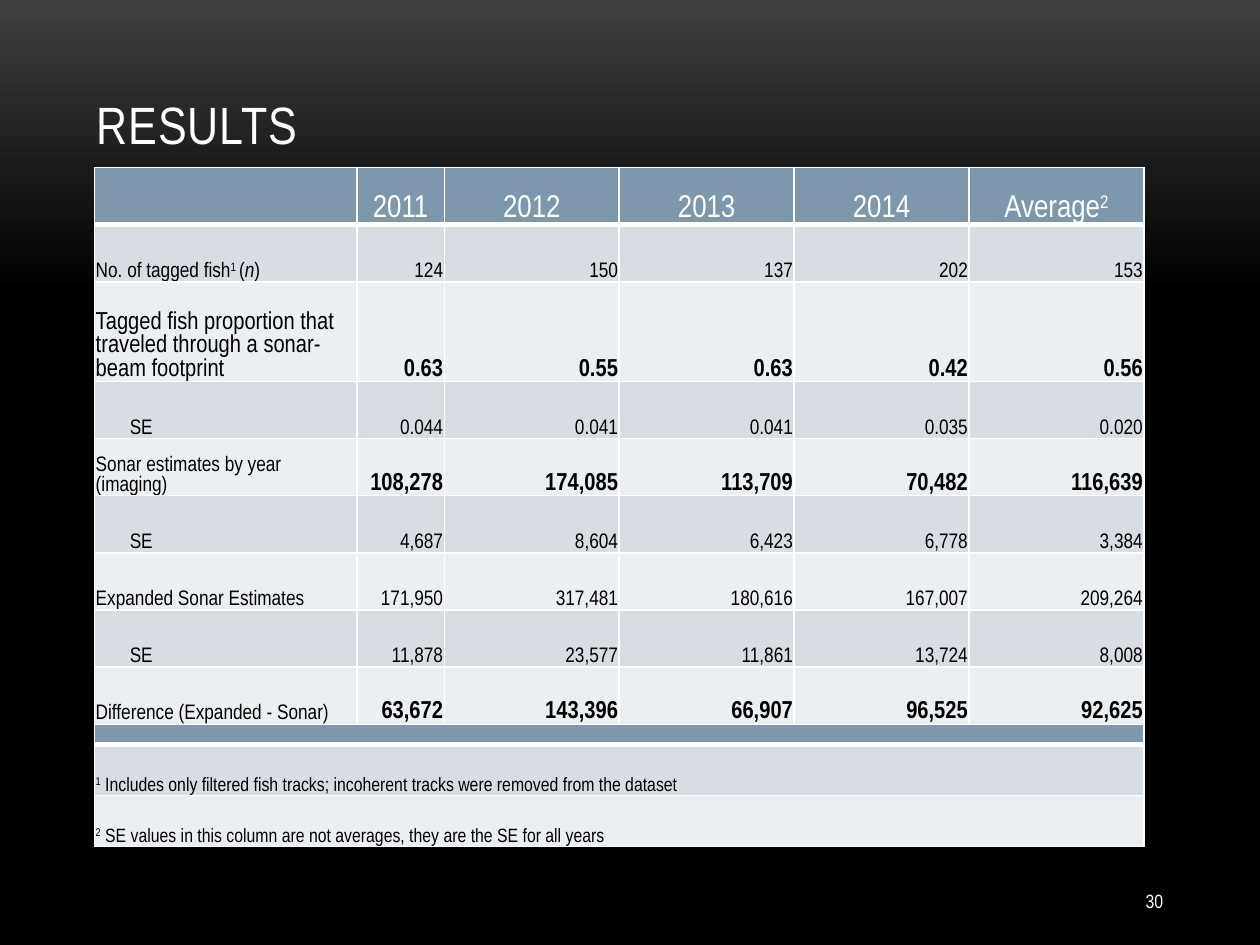
import copy

from lxml import etree
from pptx import Presentation
from pptx import util as u
from pptx.dml import color
from pptx.enum import text
from pptx.oxml import ns

WIDTH, HEIGHT = 10, 7.5
FONT = "Arial Narrow"
WHITE, BLACK, HEADER = "FFFFFF", "000000", "7E97AD"
BANDS = ["D8DDE3", "ECEFF1"]
LEFT, TABLE_WIDTH = 0.75, 8.33
COLUMN_SHARES = [3, 1, 2, 2, 2, 2]
RIGHT, CENTER = text.PP_ALIGN.RIGHT, text.PP_ALIGN.CENTER

HEADINGS = ["", "2011", "2012", "2013", "2014", [("Average", ""), ("2", "sup")]]
FISH = [("No. of tagged fish", ""), ("1 ", "sup"), ("(", ""), ("n", "italic"), (")", "")]
PROPORTION = "Tagged fish proportion that traveled through a sonar-beam footprint"
RESULTS = [
    (FISH, 12, False, "124 150 137 202 153"),
    (PROPORTION, 14, True, "0.63 0.55 0.63 0.42 0.56"),
    ("SE", 12, False, "0.044 0.041 0.041 0.035 0.020"),
    ("Sonar estimates by year (imaging)", 12, True, "108,278 174,085 113,709 70,482 116,639"),
    ("SE", 12, False, "4,687 8,604 6,423 6,778 3,384"),
    ("Expanded Sonar Estimates", 12, False, "171,950 317,481 180,616 167,007 209,264"),
    ("SE", 12, False, "11,878 23,577 11,861 13,724 8,008"),
    ("Difference (Expanded - Sonar)", 12, True, "63,672 143,396 66,907 96,525 92,625"),
]
FOOTNOTES = [
    "Includes only filtered fish tracks; incoherent tracks were removed from the dataset",
    "SE values in this column are not averages, they are the SE for all years",
]


def rgb(value):
    """Turn a hex string into a colour."""
    return color.RGBColor.from_string(value)


def write(para, content, size, shade, bold=False, align=None):
    """Write a string or a list of (text, style) pairs into a paragraph."""
    pairs = [(content, "")] if isinstance(content, str) else content
    para.alignment = align
    for words, style in pairs:
        span = para.add_run()
        span.text = words
        span.font.name, span.font.size = FONT, u.Pt(size)
        span.font.color.rgb = rgb(shade)
        span.font.bold, span.font.italic = bold, style == "italic"
        if style == "sup":
            span.font._element.set("baseline", "30000")


def add_label(page, content, size, area, anchor, align=None):
    """Add a white text box and return its first run."""
    box = page.shapes.add_textbox(*[u.Inches(length) for length in area])
    frame = box.text_frame
    frame.word_wrap, frame.vertical_anchor = True, anchor
    write(frame.paragraphs[0], content, size, WHITE, align=align)
    return frame.paragraphs[0].runs[0]


def add_border(cell, side, points):
    """Draw one white edge of a table cell."""
    props = cell._tc.get_or_add_tcPr()
    line = etree.SubElement(props, ns.qn(f"a:ln{side}"), w=str(u.Pt(points)))
    fill = etree.SubElement(line, ns.qn("a:solidFill"))
    etree.SubElement(fill, ns.qn("a:srgbClr"), val=WHITE)


def add_grid(page, top, columns, rows):
    """Add a table whose first row is a header and whose other rows are banded."""
    area = [u.Inches(n) for n in (LEFT, top, sum(columns), sum(rows))]
    table = page.shapes.add_table(len(rows), len(columns), *area).table
    for column, width in zip(table.columns, columns):
        column.width = u.Inches(width)
    for index, (row, height) in enumerate(zip(table.rows, rows)):
        row.height = u.Inches(height)
        for cell in row.cells:
            cell.vertical_anchor = text.MSO_ANCHOR.BOTTOM
            cell.margin_left = cell.margin_right = cell.margin_top = u.Inches(0.01)
            cell.margin_bottom = 0
            for side in "LRTB":
                thick = (index, side) in [(0, "B"), (1, "T")]
                add_border(cell, side, 3 if thick else 1)
            cell.fill.solid()
            cell.fill.fore_color.rgb = rgb(BANDS[(index - 1) % 2] if index else HEADER)
    return table


def add_footnotes(page):
    """Add the table that holds the footnotes."""
    table = add_grid(page, 5.5, [TABLE_WIDTH], [1.22 / 3] * 3)
    for number, note in enumerate(FOOTNOTES, 1):
        para = table.cell(number, 0).text_frame.paragraphs[0]
        write(para, [(str(number), "sup"), (" " + note, "")], 11, BLACK)


def add_results(page):
    """Add the table of yearly results."""
    unit = TABLE_WIDTH / sum(COLUMN_SHARES)
    rows = [(4.42 - 0.79) / 8] * 9
    rows[2] = 0.79
    table = add_grid(page, 1.33, [share * unit for share in COLUMN_SHARES], rows)
    for column, heading in enumerate(HEADINGS):
        if heading:
            write(table.cell(0, column).text_frame.paragraphs[0], heading, 18, WHITE, align=CENTER)
    for row, (label, size, strong, values) in enumerate(RESULTS, 1):
        first = table.cell(row, 0)
        write(first.text_frame.paragraphs[0], label, size, BLACK)
        if label == "SE":
            first.margin_left = u.Inches(0.28)
        for column, value in enumerate(values.split(), 1):
            para = table.cell(row, column).text_frame.paragraphs[0]
            write(para, value, 14 if strong else 12, BLACK, strong, RIGHT)


def paint_background(page):
    """Fade the page from dark grey at the top to black."""
    fill = page.background.fill
    fill.gradient()
    fill.gradient_angle = 270
    last = fill.gradient_stops[1]._gs
    last.addprevious(copy.deepcopy(last))
    stops = [(0, "3F3F3F"), (0.31, BLACK), (1, BLACK)]
    for stop, (position, shade) in zip(fill.gradient_stops, stops):
        stop.position, stop.color.rgb = position, rgb(shade)


def main():
    """Build the slide and save it."""
    deck = Presentation()
    deck.slide_width, deck.slide_height = u.Inches(WIDTH), u.Inches(HEIGHT)
    page = deck.slides.add_slide(deck.slide_layouts[6])
    paint_background(page)
    add_footnotes(page)
    title = add_label(page, "RESULTS", 30, (0.67, 0.03, 8.67, 1.25), text.MSO_ANCHOR.BOTTOM)
    title.font._element.set("spc", "50")
    add_label(page, "30", 11, (8.25, 6.95, 1.08, 0.4), text.MSO_ANCHOR.MIDDLE, RIGHT)
    add_results(page)
    deck.save("out.pptx")


if __name__ == "__main__":
    main()
